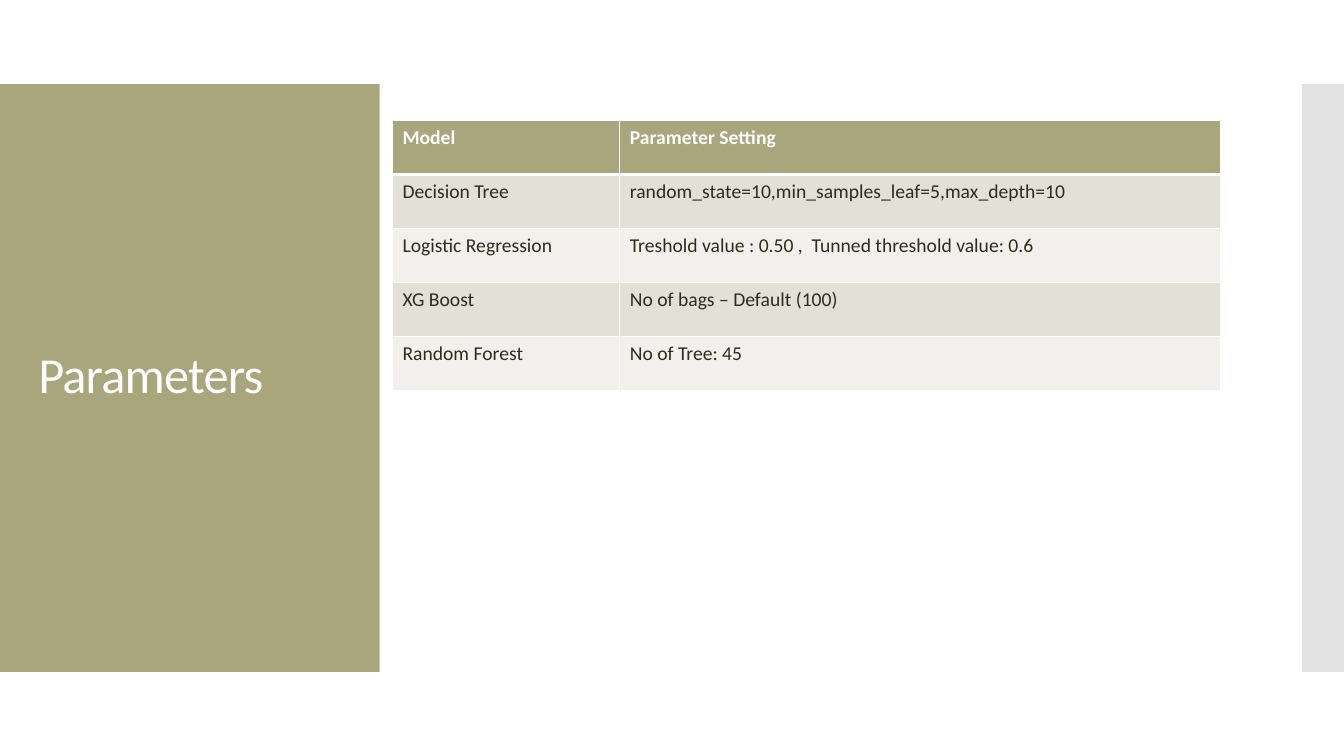
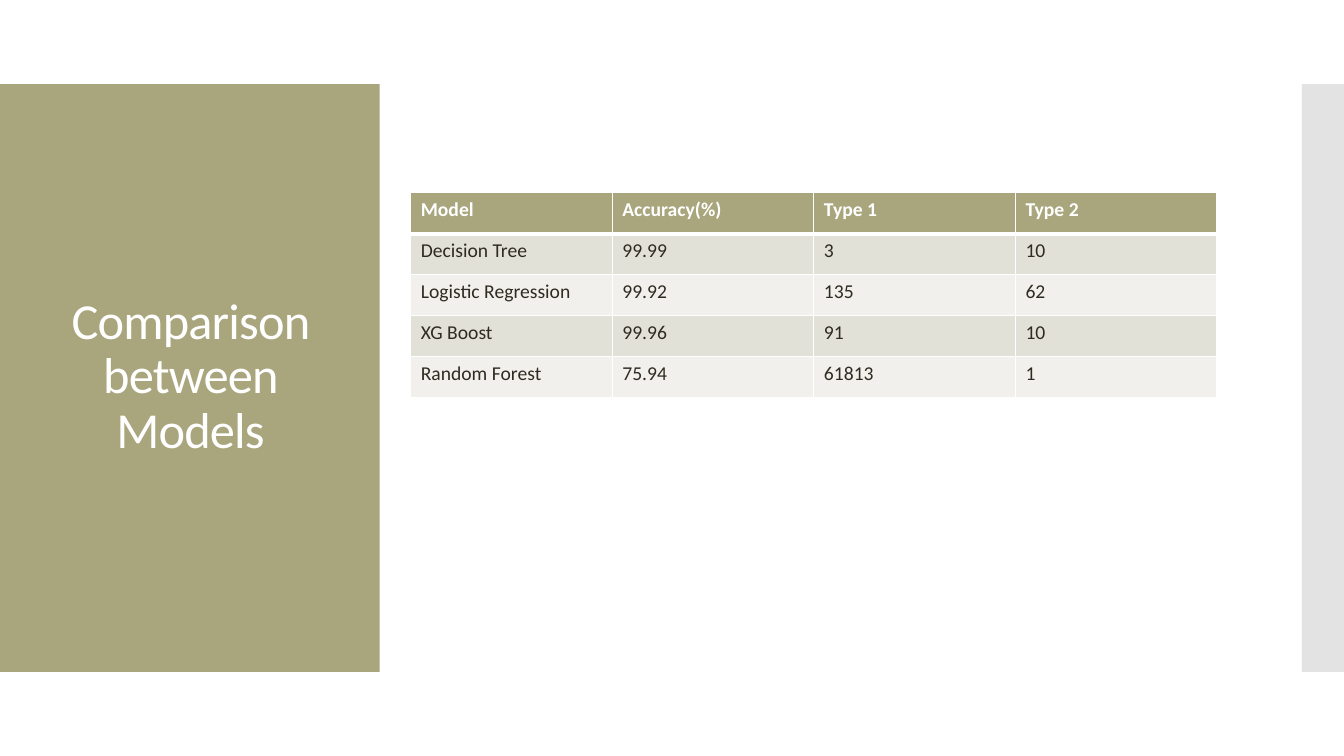
from lxml.etree import SubElement
from pptx import Presentation
from pptx.dml.color import RGBColor
from pptx.enum.shapes import MSO_SHAPE
from pptx.enum.text import MSO_ANCHOR, MSO_AUTO_SIZE, PP_ALIGN
from pptx.oxml.ns import qn
from pptx.util import Cm, Pt


def paint(color, value):
    """Fill a fill format with a hex colour."""
    color.solid()
    color.fore_color.rgb = RGBColor.from_string(value)


def write(frame, text, size=14, color="2F2B20", bold=False, font="Calibri",
          align=None, line=None, track=None):
    """Put one formatted paragraph into a text frame."""
    frame.word_wrap = True
    para = frame.paragraphs[0]
    para.alignment = align
    para.line_spacing = line
    run = para.add_run()
    run.text = text
    run.font.name = font
    run.font.size = Pt(size)
    run.font.bold = bold
    paint(run.font.fill, color)
    if track is not None:
        run.font._element.set("spc", str(round(track * 100)))


def edge(cell, side, width, color):
    """Draw one border of a cell; call before filling the cell."""
    line = SubElement(cell._tc.get_or_add_tcPr(), qn("a:ln" + side),
                      w=str(Pt(width)))
    fill = SubElement(line, qn("a:solidFill"))
    SubElement(fill, qn("a:srgbClr"), val=color)


class Deck:
    OLIVE = "A9A57C"
    WHITE = "FFFFFF"
    GRAY = "C8C8C8"
    ROWS = ("F1F0EC", "E2E1D7")
    WIDTH, HEIGHT = 33.87, 19.05
    TOP, TALL = 2.12, 14.81

    def __init__(self):
        self.prs = Presentation()
        self.prs.slide_width = Cm(self.WIDTH)
        self.prs.slide_height = Cm(self.HEIGHT)
        self.slide = None

    def page(self, title, align=None):
        """Start a slide with both bands and its title."""
        self.slide = self.prs.slides.add_slide(self.prs.slide_layouts[5])
        self.band(0, 9.57, self.OLIVE)
        self.band(self.WIDTH - 1.06, 1.06, self.GRAY, alpha=50)
        self.title(title, align)

    def band(self, left, width, color, alpha=None):
        shape = self.slide.shapes.add_shape(
            MSO_SHAPE.RECTANGLE, Cm(left), Cm(self.TOP), Cm(width), Cm(self.TALL))
        shape.shadow.inherit = False
        shape.line.fill.background()
        paint(shape.fill, color)
        if alpha is not None:
            tint = shape._element.spPr.find(qn("a:solidFill"))[0]
            SubElement(tint, qn("a:alpha"), val=str(alpha * 1000))

    def title(self, text, align):
        shape = self.slide.shapes.title
        # Bring the title in front of the bands
        self.slide.shapes._spTree.append(shape._element)
        shape.left, shape.top = Cm(0.71), Cm(3.12)
        shape.width, shape.height = Cm(8.18), Cm(12.78)
        frame = shape.text_frame
        frame.auto_size = MSO_AUTO_SIZE.NONE
        frame.vertical_anchor = MSO_ANCHOR.MIDDLE
        write(frame, text, size=36, color=self.WHITE, line=0.9, track=-0.6,
              align=align or PP_ALIGN.LEFT)

    def table(self, left, top, cols, high, rows):
        """Add a table with a header row and banded body rows."""
        grid = self.slide.shapes.add_table(
            len(rows), len(cols), Cm(left), Cm(top),
            Cm(sum(cols)), Cm(high * len(rows))).table
        for col, width in zip(grid.columns, cols):
            col.width = Cm(width)
        for i, row in enumerate(rows):
            grid.rows[i].height = Cm(high)
            head = i == 0
            for j, text in enumerate(row):
                cell = grid.cell(i, j)
                # The rule under the header is thicker
                sides = {"L": 1, "R": 1, "T": 3 if i == 1 else 1,
                         "B": 3 if head else 1}
                for side, width in sides.items():
                    edge(cell, side, width, self.WHITE)
                paint(cell.fill, self.OLIVE if head else self.ROWS[i % 2])
                ink = {"color": self.WHITE, "bold": True} if head else {}
                write(cell.text_frame, text, **ink)


def main():
    deck = Deck()

    # Parameters
    deck.page("Parameters")
    deck.table(9.89, 3.04, (5.73, 15.14), 1.36, [
        ("Model", "Parameter Setting"),
        ("Decision Tree", "random_state=10,min_samples_leaf=5,max_depth=10"),
        ("Logistic Regression",
         "Treshold value : 0.50 ,  Tunned threshold value: 0.6"),
        ("XG Boost", "No of bags – Default (100)"),
        ("Random Forest", "No of Tree: 45"),
    ])

    # Model comparison
    deck.page("Comparison between Models", align=PP_ALIGN.CENTER)
    deck.table(10.35, 4.86, (5.08,) * 4, 1.03, [
        ("Model", "Accuracy(%)", "Type 1", "Type 2"),
        ("Decision Tree", "99.99", "3", "10"),
        ("Logistic Regression", "99.92", "135", "62"),
        ("XG Boost", "99.96", "91", "10"),
        ("Random Forest", "75.94", "61813", "1"),
    ])

    deck.prs.save("out.pptx")


if __name__ == "__main__":
    main()
